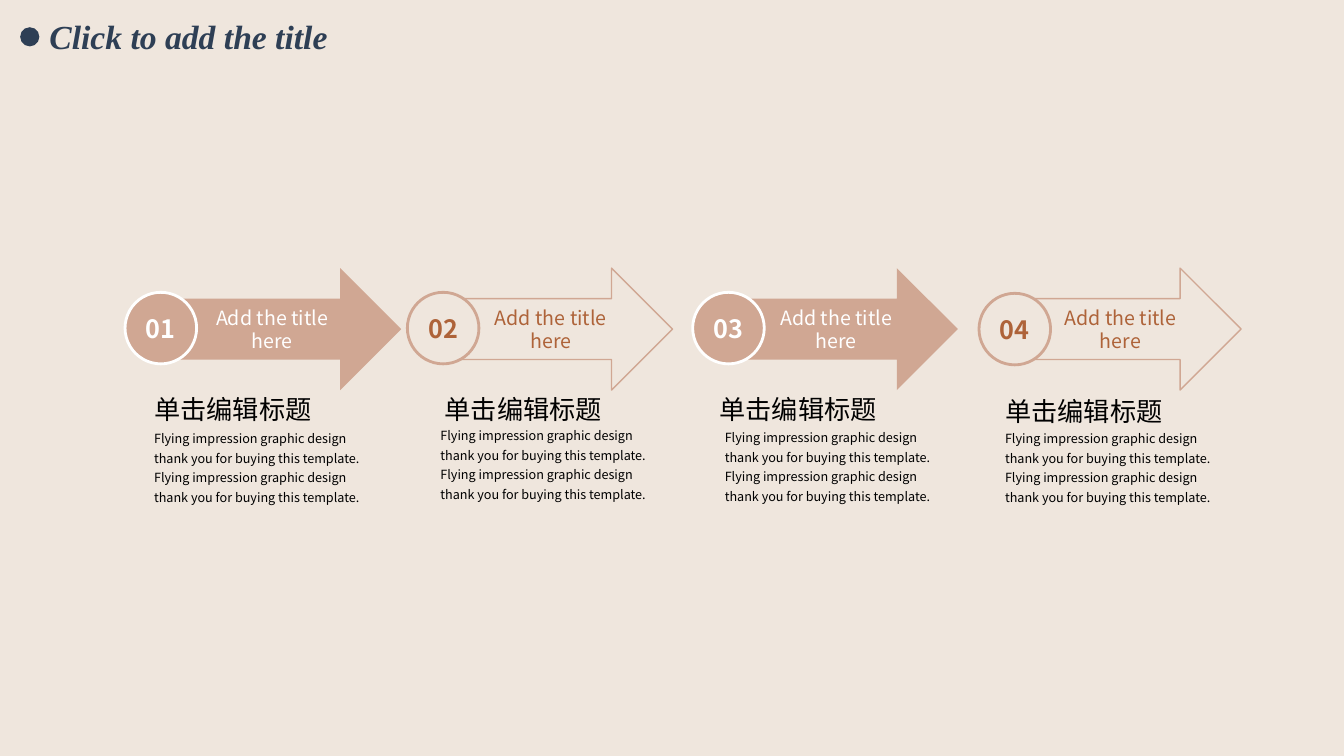
from dataclasses import dataclass
from lxml import etree
from pptx import Presentation
from pptx.dml.color import RGBColor
from pptx.enum.shapes import MSO_SHAPE
from pptx.enum.text import MSO_ANCHOR, PP_ALIGN
from pptx.oxml.ns import qn
from pptx.util import Inches, Pt

COLORS = {
    "background": "EFE6DD",
    "navy": "2E3F55",
    "tan": "D0A793",
    "rust": "AE6339",
    "white": "FFFFFF",
    "black": "000000",
}
TITLE_FONT = "Times New Roman"
BODY_FONT = "Noto Sans CJK SC"
SENTENCE = "Flying impression graphic design thank you for buying this template."


@dataclass
class Step:
    number: str
    arrow: tuple    # left, width
    circle: tuple   # left, top
    heading: tuple  # left, top, width
    body: tuple     # left, top, width, height
    solid: bool


STEPS = [
    Step("01", (1.41, 2.57), (1.24, 2.9), (1.13, 3.85, 2.36), (1.43, 4.18, 2.36, 1.26), True),
    Step("02", (4.25, 2.42), (4.04, 2.9), (3.92, 3.85, 2.54), (4.27, 4.15, 2.46, 1.26), False),
    Step("03", (7.08, 2.42), (6.87, 2.9), (6.69, 3.85, 2.45), (7.09, 4.17, 2.42, 1.26), True),
    Step("04", (9.91, 2.4), (9.71, 2.91), (9.55, 3.87, 2.4), (9.87, 4.18, 2.46, 1.07), False),
]


class SlideBuilder:
    def __init__(self, presentation):
        self.slide = presentation.slides.add_slide(presentation.slide_layouts[5])
        fill = self.slide.background.fill
        fill.solid()
        fill.fore_color.rgb = self.color("background")

    def color(self, name):
        return RGBColor.from_string(COLORS[name])

    def set_text(self, shape, text, size, color, align=PP_ALIGN.LEFT, font=BODY_FONT,
                 bold=False, italic=False):
        text_frame = shape.text_frame
        text_frame.word_wrap = True
        text_frame.text = text
        paragraph = text_frame.paragraphs[0]
        paragraph.alignment = align
        run = paragraph.runs[0]
        run.font.name = font
        run.font.size = Pt(size)
        run.font.bold = bold
        run.font.italic = italic
        run.font.color.rgb = self.color(color)
        # East Asian characters need their own typeface entry
        latin = run.font._element.find(qn("a:latin"))
        east_asian = etree.Element(qn("a:ea"), typeface=font)
        latin.addnext(east_asian)
        return paragraph

    def title(self, text, left, top, width, height):
        shape = self.slide.shapes.title
        shape.left, shape.top = Inches(left), Inches(top)
        shape.width, shape.height = Inches(width), Inches(height)
        shape.text_frame.vertical_anchor = MSO_ANCHOR.TOP
        self.set_text(shape, text, 24, "navy", font=TITLE_FONT, bold=True, italic=True)

    def shape(self, kind, left, top, width, height, fill, line=None, line_width=1):
        shape = self.slide.shapes.add_shape(
            kind, Inches(left), Inches(top), Inches(width), Inches(height))
        shape.shadow.inherit = False
        shape.fill.solid()
        shape.fill.fore_color.rgb = self.color(fill)
        if line:
            shape.line.color.rgb = self.color(line)
            shape.line.width = Pt(line_width)
        else:
            shape.line.fill.background()
        return shape

    def label(self, shape, text, size, color, left=0, right=0, bold=False):
        text_frame = shape.text_frame
        text_frame.margin_left, text_frame.margin_right = Inches(left), Inches(right)
        text_frame.margin_top = text_frame.margin_bottom = 0
        text_frame.vertical_anchor = MSO_ANCHOR.MIDDLE
        self.set_text(shape, text, size, color, PP_ALIGN.CENTER, bold=bold)

    def text_box(self, text, left, top, width, height, size, align=PP_ALIGN.LEFT):
        box = self.slide.shapes.add_textbox(
            Inches(left), Inches(top), Inches(width), Inches(height))
        return self.set_text(box, text, size, "black", align)

    def step(self, step):
        fill, text_color = ("tan", "white") if step.solid else ("background", "rust")

        # Arrow with its label
        left, width = step.arrow
        arrow = self.shape(MSO_SHAPE.RIGHT_ARROW, left, 2.66, width, 1.21, fill,
                           None if step.solid else "tan")
        self.label(arrow, "Add the title here", 14, text_color, 0.59, 0.28)

        # Numbered circle
        circle = self.shape(MSO_SHAPE.OVAL, *step.circle, 0.71, 0.71, fill,
                            "white" if step.solid else "tan", 2)
        self.label(circle, step.number, 18, text_color, bold=True)

        # Heading and description
        self.text_box("单击编辑标题", *step.heading, 0.41, 18.7, PP_ALIGN.CENTER)
        description = self.text_box(f"{SENTENCE} {SENTENCE}", *step.body, 9)
        description.line_spacing = 1.3


def main():
    presentation = Presentation()
    presentation.slide_width = Inches(13.33)
    presentation.slide_height = Inches(7.5)
    builder = SlideBuilder(presentation)

    # Title with its dot
    builder.title("Click to add the title", 0.39, 0.11, 3.15, 0.5)
    builder.shape(MSO_SHAPE.OVAL, 0.2, 0.27, 0.19, 0.19, "navy")

    # Process steps
    for step in STEPS:
        builder.step(step)

    presentation.save("out.pptx")


if __name__ == "__main__":
    main()
